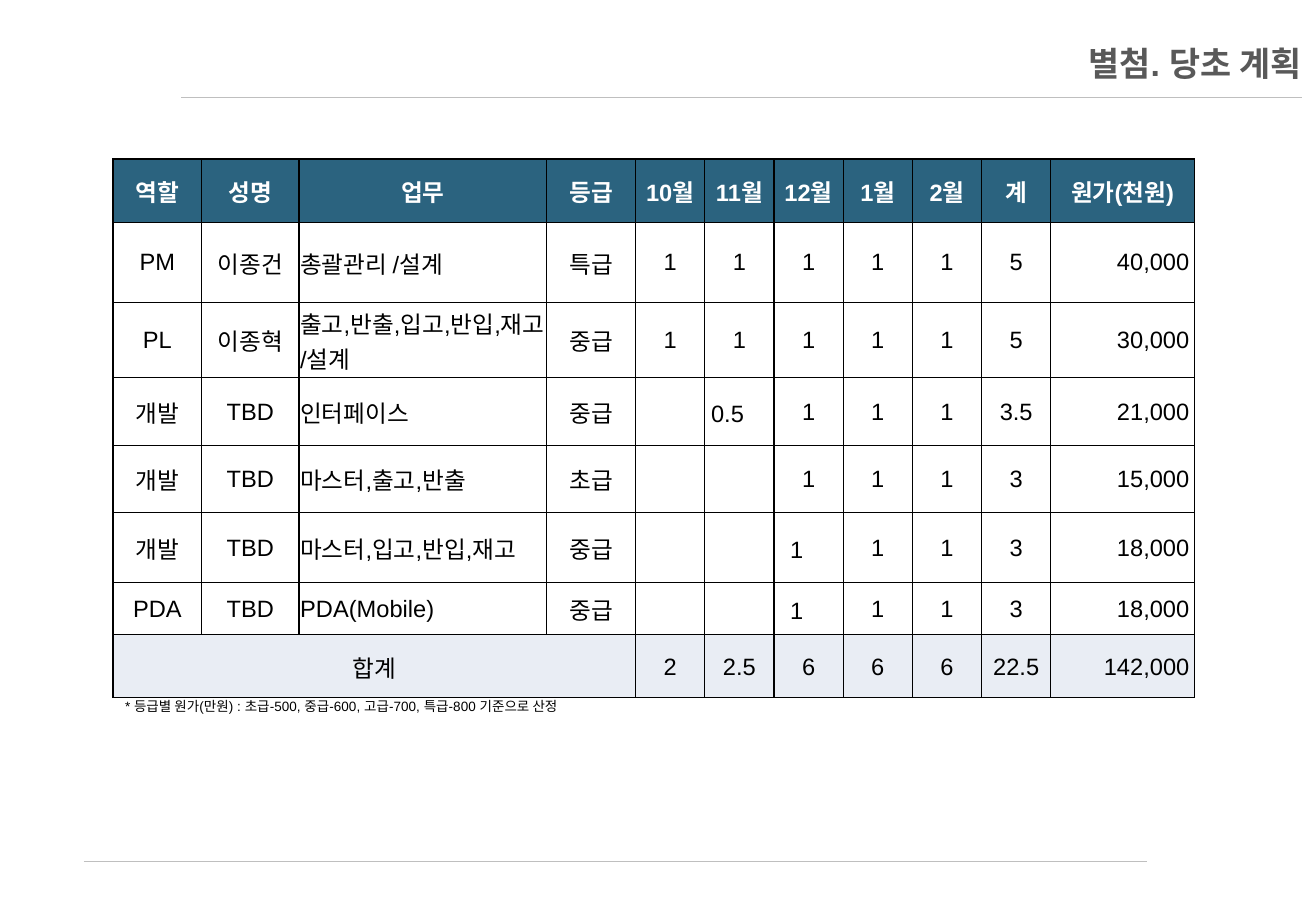
from pptx import Presentation
from pptx.dml.color import RGBColor
from pptx.enum.dml import MSO_LINE
from pptx.enum.shapes import MSO_CONNECTOR
from pptx.enum.text import MSO_ANCHOR, MSO_AUTO_SIZE, PP_ALIGN
from pptx.oxml import parse_xml
from pptx.oxml.ns import nsdecls
from pptx.util import Inches, Pt

TITLE = "별첨. 당초 계획"
NOTE = "* 등급별 원가(만원) : 초급-500, 중급-600, 고급-700, 특급-800 기준으로 산정"
ROWS = [
    ("역할", "성명", "업무", "등급", "10월", "11월", "12월", "1월", "2월", "계", "원가(천원)"),
    ("PM", "이종건", "총괄관리 /설계", "특급", "1", "1", "1", "1", "1", "5", "40,000"),
    ("PL", "이종혁", "출고,반출,입고,반입,재고 /설계", "중급", "1", "1", "1", "1", "1", "5", "30,000"),
    ("개발", "TBD", "인터페이스", "중급", "", "0.5　", "1", "1", "1", "3.5", "21,000"),
    ("개발", "TBD", "마스터,출고,반출", "초급", "", "", "1", "1", "1", "3", "15,000"),
    ("개발", "TBD", "마스터,입고,반입,재고", "중급", "", "", "1　", "1", "1", "3", "18,000"),
    ("PDA", "TBD", "PDA(Mobile)", "중급", "", "", "1　", "1", "1", "3", "18,000"),
    ("합계", "", "", "", "2", "2.5", "6", "6", "6", "22.5", "142,000"),
]
COLS = [73, 80, 204, 73] + [57] * 6 + [118]
TALLS = [52, 66, 62, 56, 55, 57, 43, 52]

TITLE_BOX = (9.97, 3.87, 90.03, 6)
GRID_BOX = (8.59, 17.45, 82.18, 59.07)
NOTE_BOX = (8.59, 76, 41.83, 3.2)
RULES = [(13.76, 98.89, 10.67), (6.37, 87.07, 94.53)]

FONT = "Arial"
TEAL = RGBColor(0x2B, 0x63, 0x7F)
PALE = RGBColor(0xE9, 0xED, 0xF4)
WHITE = RGBColor(0xFF, 0xFF, 0xFF)
BLACK = RGBColor(0, 0, 0)
GRAY = RGBColor(0x59, 0x59, 0x59)
SILVER = RGBColor(0xBF, 0xBF, 0xBF)

deck = Presentation()
deck.slide_width, deck.slide_height = Inches(10.83), Inches(7.5)
slide = deck.slides.add_slide(deck.slide_layouts[5])
shapes = slide.shapes


def across(share):
    return int(deck.slide_width * share / 100)


def down(share):
    return int(deck.slide_height * share / 100)


def place(box):
    left, top, width, height = box
    return across(left), down(top), across(width), down(height)


def write(frame, text, size, color, bold=False, align=PP_ALIGN.LEFT):
    frame.text = text
    para = frame.paragraphs[0]
    para.alignment = align
    para.font.size = Pt(size)
    for run in para.runs:
        font = run.font
        font.name, font.size, font.bold = FONT, Pt(size), bold
        font.color.rgb = color


def edge(cell):
    props = cell._tc.get_or_add_tcPr()
    for spot, side in enumerate(("lnL", "lnR", "lnT", "lnB")):
        props.insert(spot, parse_xml(
            f'<a:{side} {nsdecls("a")} w="{Pt(0.75)}"><a:solidFill>'
            f'<a:srgbClr val="{BLACK}"/></a:solidFill></a:{side}>'))


def draw_rule(start, end, level):
    rule = shapes.add_connector(
        MSO_CONNECTOR.STRAIGHT, across(start), down(level), across(end), down(level))
    rule.line.color.rgb = SILVER
    rule.line.width = Pt(0.25)
    rule.line.dash_style = MSO_LINE.ROUND_DOT
    rule._element.spPr.append(parse_xml(f'<a:effectLst {nsdecls("a")}/>'))


def draw_title():
    title = shapes.title
    title.left, title.top, title.width, title.height = place(TITLE_BOX)
    frame = title.text_frame
    frame.auto_size = MSO_AUTO_SIZE.NONE
    frame.vertical_anchor = MSO_ANCHOR.MIDDLE
    frame.margin_right = across(100 - RULES[0][1])
    write(frame, TITLE, 20, GRAY, True, PP_ALIGN.RIGHT)


def draw_grid():
    box = place(GRID_BOX)
    table = shapes.add_table(len(ROWS), len(COLS), *box).table
    for col, share in zip(table.columns, COLS):
        col.width = int(box[2] * share / sum(COLS))
    for row, share in zip(table.rows, TALLS):
        row.height = int(box[3] * share / sum(TALLS))
    last = len(ROWS) - 1
    for r, row in enumerate(ROWS):
        head, body = r == 0, 0 < r < last
        for c, text in enumerate(row):
            cell = table.cell(r, c)
            align = PP_ALIGN.CENTER
            if body and c == 2:
                align = PP_ALIGN.LEFT
            elif not head and c == len(COLS) - 1:
                align = PP_ALIGN.RIGHT
            write(cell.text_frame, text, 14, WHITE if head else BLACK, head, align)
            cell.vertical_anchor = MSO_ANCHOR.MIDDLE
            inset = Inches(0.01 if body and c in (1, 2) else 0.04)
            cell.margin_left = cell.margin_right = inset
            cell.margin_top, cell.margin_bottom = Inches(0.01), 0
            cell.fill.solid()
            cell.fill.fore_color.rgb = TEAL if head else WHITE if body else PALE
            edge(cell)
    table.cell(last, 0).merge(table.cell(last, 3))


def draw_note():
    frame = shapes.add_textbox(*place(NOTE_BOX)).text_frame
    frame.word_wrap = True
    write(frame, NOTE, 8, BLACK)


for rule in RULES:
    draw_rule(*rule)
draw_title()
draw_grid()
draw_note()
deck.save("out.pptx")
